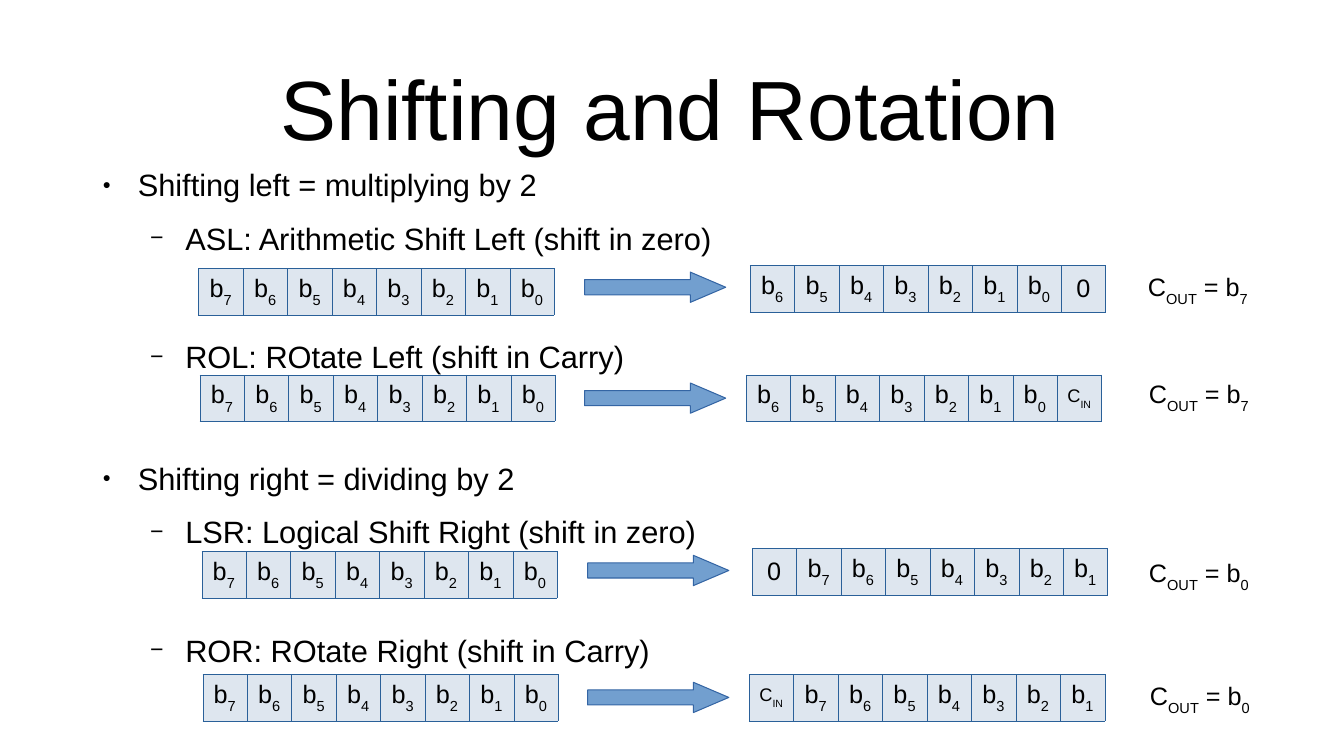
from lxml.etree import SubElement
from pptx import Presentation
from pptx.dml.color import RGBColor
from pptx.enum.shapes import MSO_SHAPE as Shape
from pptx.enum.text import MSO_ANCHOR as Anchor, MSO_AUTO_SIZE as AutoSize, PP_ALIGN as Align
from pptx.oxml import parse_xml
from pptx.oxml.ns import nsdecls, qn
from pptx.util import Pt

FONT = "Arial"
COLORS = {
    "text": "000000",
    "cell": "DEE6EF",
    "border": "2A6099",
    "arrow": "729FCF",
    "arrow_line": "3465A4",
}
CELL_WIDTH = 31.77
BORDER_WIDTH = 0.06

# Per level: left indent, bullet character, bullet size in percent
BULLETS = [(33.8, "●", 45), (67.7, "−", 75)]
HANGING = 25.2

# Level, space before, text; the wide spaces leave room for the registers
OUTLINE = [
    (0, 2.9, "Shifting left = multiplying by 2"),
    (1, 11.7, "ASL: Arithmetic Shift Left (shift in zero)"),
    (1, 58.1, "ROL: ROtate Left (shift in Carry)"),
    (0, 60.7, "Shifting right = dividing by 2"),
    (1, 11.7, "LSR: Logical Shift Right (shift in zero)"),
    (1, 58.1, "ROR: ROtate Right (shift in Carry)"),
]

BITS = [f"b{n}" for n in range(7, -1, -1)]

# Cell height, result bits, bit moved to the carry,
# then the places of register, arrow, result and carry note
OPERATIONS = [
    (33.1, BITS[1:] + ["0"], "7",
     (141.8, 191.5), (417.6, 194.4), (535.7, 189.4), (812.9, 190.1)),
    (31.7, BITS[1:] + ["CIN"], "7",
     (142.6, 267.8), (417.6, 273.6), (532.8, 267.8), (813.6, 266.4)),
    (31.7, ["0"] + BITS[:-1], "0",
     (144, 393.8), (419.8, 396.7), (537.1, 391.7), (813.6, 394.6)),
    (31.7, ["CIN"] + BITS[:-1], "0",
     (144.7, 481.7), (419.8, 487.4), (535, 481.7), (814.3, 482.4)),
]


def color(name):
    return RGBColor.from_string(COLORS[name])


def set_font(para, size):
    para.font.name = FONT
    para.font.size = Pt(size)
    para.font.color.rgb = color("text")


def write_formula(para, parts, size=18):
    """Write parts that alternate between normal text and subscript."""
    set_font(para, size)
    for index, part in enumerate(parts):
        if part:
            span = para.add_run()
            span.text = part
            if index % 2:
                span.font._element.set("baseline", "-33000")


def add_title(page, text):
    title = page.shapes.title
    title.left, title.top, title.width, title.height = Pt(14.4), Pt(28.8), Pt(928.8), Pt(104.4)
    frame = title.text_frame
    frame.text = text
    frame.auto_size = AutoSize.NONE
    frame.vertical_anchor = Anchor.MIDDLE
    para = frame.paragraphs[0]
    para.alignment = Align.CENTER
    para.line_spacing = 0.9
    set_font(para, 60)


def add_bullet(para, level):
    indent, char, percent = BULLETS[level]
    props = para._p.get_or_add_pPr()
    props.set("marL", str(Pt(indent)))
    props.set("indent", str(-Pt(HANGING)))
    bullet_color = SubElement(props, qn("a:buClr"))
    SubElement(bullet_color, qn("a:srgbClr"), val=COLORS["text"])
    SubElement(props, qn("a:buSzPct"), val=str(percent * 1000))
    SubElement(props, qn("a:buFont"), typeface=FONT)
    SubElement(props, qn("a:buChar"), char=char)


def add_outline(page):
    box = page.shapes.add_textbox(Pt(57.6), Pt(115.2), Pt(828), Pt(410.4))
    frame = box.text_frame
    frame.word_wrap = True
    for index, (level, space, text) in enumerate(OUTLINE):
        para = frame.add_paragraph() if index else frame.paragraphs[0]
        para.text = text
        para.level = level
        para.space_before = Pt(space)
        add_bullet(para, level)
        set_font(para, 22)


def add_borders(cell):
    props = cell._tc.get_or_add_tcPr()
    for index, side in enumerate(("lnL", "lnR", "lnT", "lnB")):
        props.insert(index, parse_xml(
            f'<a:{side} {nsdecls("a")} w="{Pt(BORDER_WIDTH)}"><a:solidFill>'
            f'<a:srgbClr val="{COLORS["border"]}"/></a:solidFill></a:{side}>'))


def add_register(page, place, height, bits):
    left, top = place
    table = page.shapes.add_table(1, len(bits), Pt(left), Pt(top),
                                  Pt(CELL_WIDTH * len(bits)), Pt(height)).table
    table.first_row = table.horz_banding = False
    for column, bit in zip(table.columns, bits):
        column.width = Pt(CELL_WIDTH)
    for cell, bit in zip(table.iter_cells(), bits):
        cell.fill.solid()
        cell.fill.fore_color.rgb = color("cell")
        cell.vertical_anchor = Anchor.MIDDLE
        add_borders(cell)
        para = cell.text_frame.paragraphs[0]
        para.alignment = Align.CENTER
        write_formula(para, [bit[0], bit[1:]], 13 if bit == "CIN" else 18)


def add_arrow(page, place):
    left, top = place
    arrow = page.shapes.add_shape(Shape.RIGHT_ARROW, Pt(left), Pt(top), Pt(100.8), Pt(21.6))
    arrow.adjustments[0], arrow.adjustments[1] = 0.5, 1.17
    arrow.shadow.inherit = False
    arrow.fill.solid()
    arrow.fill.fore_color.rgb = color("arrow")
    arrow.line.color.rgb = color("arrow_line")
    arrow.line.width = Pt(0)


def add_carry_note(page, place, bit):
    left, top = place
    box = page.shapes.add_textbox(Pt(left), Pt(top), Pt(122.4), Pt(31.7))
    frame = box.text_frame
    frame.word_wrap = True
    frame.auto_size = AutoSize.SHAPE_TO_FIT_TEXT
    write_formula(frame.paragraphs[0], ["C", "OUT", " = b", bit])


def main():
    deck = Presentation()
    deck.slide_width, deck.slide_height = Pt(960), Pt(540)
    page = deck.slides.add_slide(deck.slide_layouts[5])

    # Title and outline
    add_title(page, "Shifting and Rotation")
    add_outline(page)

    # One row per operation: register, arrow, result, carry out
    for height, result, carry, register_at, arrow_at, result_at, note_at in OPERATIONS:
        add_register(page, register_at, height, BITS)
        add_arrow(page, arrow_at)
        add_register(page, result_at, height, result)
        add_carry_note(page, note_at, carry)

    deck.save("out.pptx")


if __name__ == "__main__":
    main()
